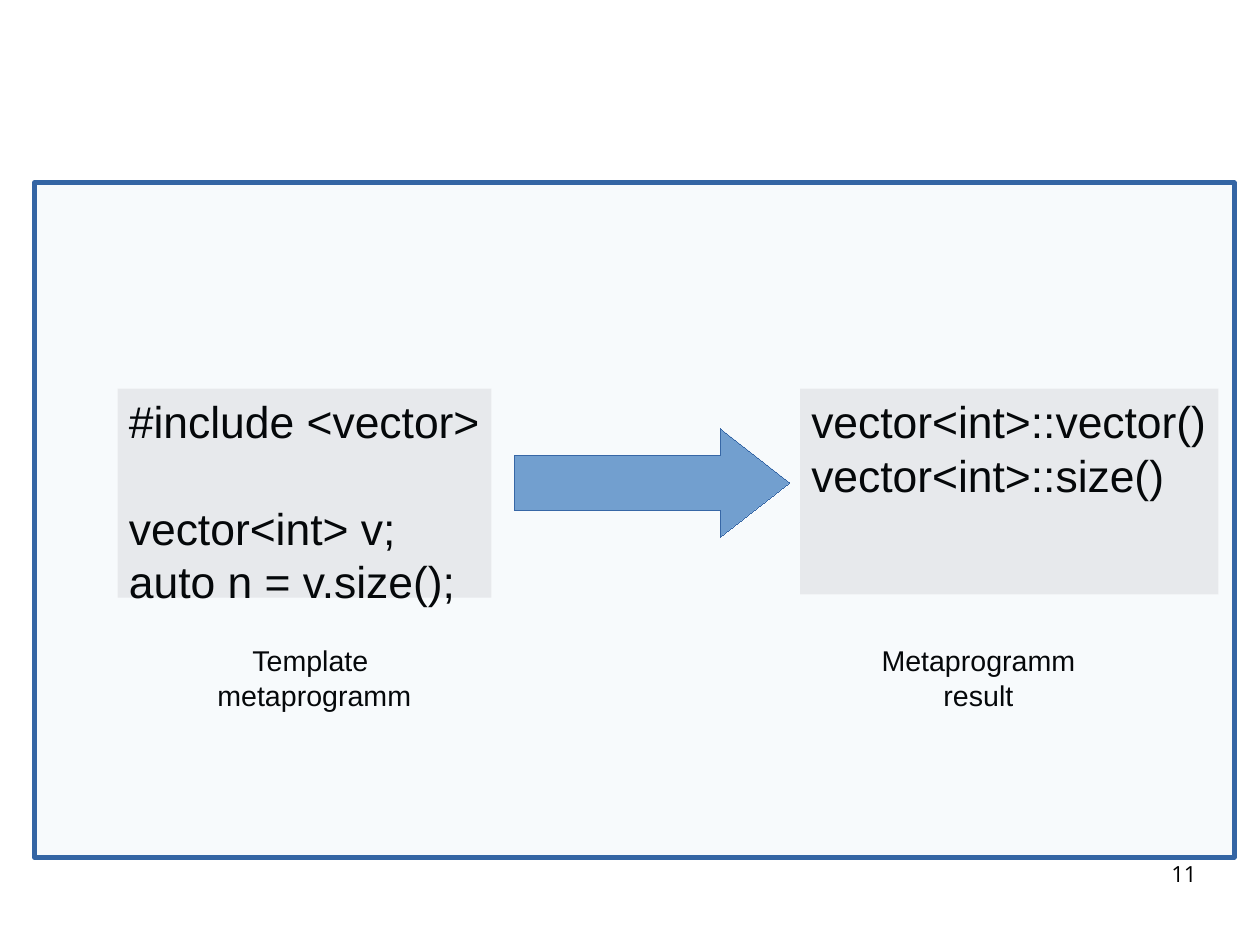
from dataclasses import dataclass

from lxml import etree
from pptx import Presentation
from pptx.dml.color import RGBColor
from pptx.enum.shapes import MSO_SHAPE
from pptx.enum.text import MSO_ANCHOR, PP_ALIGN
from pptx.oxml.ns import qn
from pptx.shapes.autoshape import Shape
from pptx.slide import Slide
from pptx.util import Inches, Pt

RECT, RIGHT_ARROW = MSO_SHAPE.RECTANGLE, MSO_SHAPE.RIGHT_ARROW
LEFT, CENTER, RIGHT = PP_ALIGN.LEFT, PP_ALIGN.CENTER, PP_ALIGN.RIGHT
TOP = MSO_ANCHOR.TOP
BLANK_LAYOUT = 6
CM_PER_INCH = 2.54
SLIDE_CM = (28, 21)


@dataclass(frozen=True)
class Theme:
    font: str = "Arial"
    number_font: str = "Open Sans"
    text: str = "000000"
    code_fill: str = "EEEEEE"
    blue: str = "729FCF"
    outline: str = "3465A4"
    code_size: int = 28
    caption_size: int = 18
    number_size: int = 14
    code_gap: float = 33.5


@dataclass(frozen=True)
class Box:
    left: float
    top: float
    width: float
    height: float

    def inches(self) -> list[Inches]:
        return [Inches(v) for v in (self.left, self.top, self.width, self.height)]


@dataclass(frozen=True)
class Stage:
    """One end of the arrow: code in groups of lines, and its caption."""
    code_box: Box
    code: list[list[str]]
    caption_box: Box
    caption: list[str]


THEME = Theme()
STAGES = [
    Stage(Box(1.03, 3.4, 3.27, 1.83),
          [["#include <vector>"], ["vector<int> v;", "auto n = v.size();"]],
          Box(1.62, 5.58, 2.26, 0.84), ["Template ", "metaprogramm"]),
    Stage(Box(7, 3.4, 3.66, 1.8),
          [["vector<int>::vector()", "vector<int>::size()"]],
          Box(7.44, 5.58, 2.24, 0.84), ["Metaprogramm", "result"]),
]
ARROW = Box(4.5, 3.75, 2.41, 0.95)
FRAME = Box(0.3, 1.6, 10.5, 5.9)
NUMBER = Box(7.9, 7.53, 2.57, 0.57)


def write(sp: Shape, groups: list[list[str]], size: int, align: PP_ALIGN,
          font: str = THEME.font) -> None:
    """Fill a shape with lines, leaving a gap between groups."""
    tf = sp.text_frame
    tf.word_wrap = False
    tf.vertical_anchor = TOP
    tf.text = "\n".join(line for group in groups for line in group)
    paragraphs = iter(tf.paragraphs)
    for g, group in enumerate(groups):
        for i in range(len(group)):
            p = next(paragraphs)
            p.alignment = align
            if g and i == 0:
                p.space_before = Pt(THEME.code_gap)
            for r in p.runs:
                r.font.name = font
                r.font.size = Pt(size)
                r.font.color.rgb = RGBColor.from_string(THEME.text)


def add_filled(s: Slide, kind: MSO_SHAPE, box: Box, fill: str,
               line_width: int | None = None) -> Shape:
    """Add a flat shape; a line width of 0 is a hairline, None is no line."""
    sp = s.shapes.add_shape(kind, *box.inches())
    sp.shadow.inherit = False
    sp.fill.solid()
    sp.fill.fore_color.rgb = RGBColor.from_string(fill)
    if line_width is None:
        sp.line.fill.background()
    else:
        sp.line.color.rgb = RGBColor.from_string(THEME.outline)
        sp.element.spPr.find(qn("a:ln")).set("w", str(int(Pt(line_width))))
    return sp


def set_opacity(sp: Shape, percent: int) -> None:
    color = sp.element.spPr.find(qn("a:solidFill")).find(qn("a:srgbClr"))
    etree.SubElement(color, qn("a:alpha")).set("val", str(percent * 1000))


def add_stage(s: Slide, stage: Stage) -> None:
    code = add_filled(s, RECT, stage.code_box, THEME.code_fill)
    write(code, stage.code, THEME.code_size, LEFT)
    caption = s.shapes.add_textbox(*stage.caption_box.inches())
    write(caption, [stage.caption], THEME.caption_size, CENTER)


def add_page_number(s: Slide, number: str) -> None:
    sp = s.shapes.add_textbox(*NUMBER.inches())
    write(sp, [[number]], THEME.number_size, RIGHT, THEME.number_font)
    tf = sp.text_frame
    tf.word_wrap = True
    tf.margin_left = tf.margin_right = tf.margin_top = tf.margin_bottom = 0


def main() -> None:
    prs = Presentation()
    prs.slide_width, prs.slide_height = (Inches(cm / CM_PER_INCH) for cm in SLIDE_CM)
    s = prs.slides.add_slide(prs.slide_layouts[BLANK_LAYOUT])
    for stage in STAGES:
        add_stage(s, stage)
    arrow = add_filled(s, RIGHT_ARROW, ARROW, THEME.blue, 0)
    arrow.adjustments[0] = 0.5
    arrow.adjustments[1] = 0.64
    frame = add_filled(s, RECT, FRAME, THEME.blue, 3)
    set_opacity(frame, 5)
    add_page_number(s, "11")
    prs.save("out.pptx")


if __name__ == "__main__":
    main()
